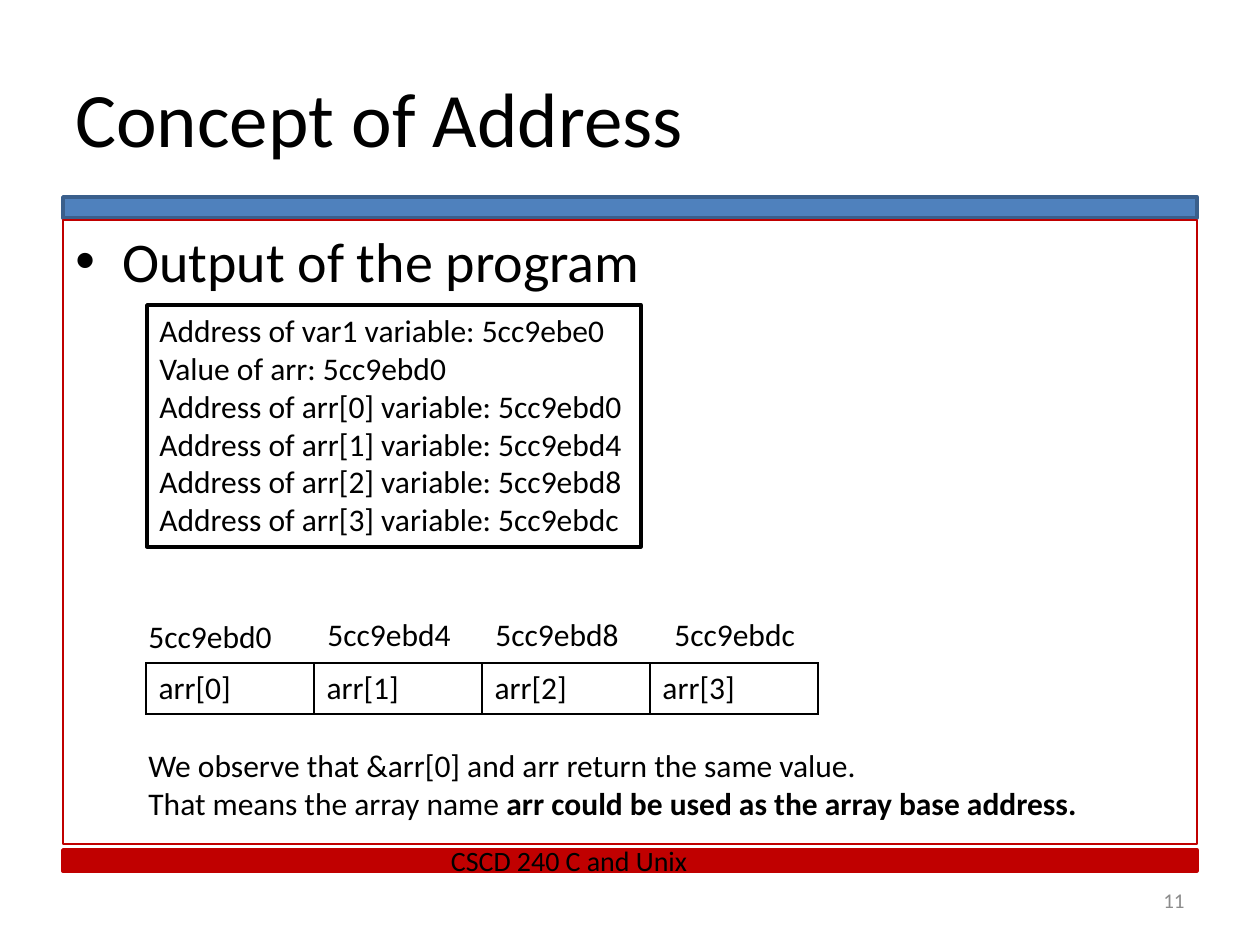
from lxml.etree import SubElement
from pptx import Presentation
from pptx.dml.color import RGBColor
from pptx.enum.shapes import MSO_SHAPE
from pptx.enum.text import MSO_ANCHOR, PP_ALIGN
from pptx.oxml.ns import qn
from pptx.util import Emu, Pt

SCALE = 914400 / 126
COLORS = {
    "black": "000000",
    "white": "FFFFFF",
    "blue": "4F81BD",
    "navy": "3A5F8C",
    "red": "C00000",
    "gray": "8C8C8C",
}
ADDRESSES = ["5cc9ebd0", "5cc9ebd4", "5cc9ebd8", "5cc9ebdc"]


def px(length):
    return Emu(round(length * SCALE))


def color(name):
    return RGBColor.from_string(COLORS[name])


def add_run(paragraph, text, size, ink="black", bold=False):
    run = paragraph.add_run()
    run.text = text
    run.font.size = Pt(size)
    run.font.name = "Calibri"
    run.font.bold = bold
    run.font.color.rgb = color(ink)


def write(frame, lines, size, ink="black", align=PP_ALIGN.LEFT,
          anchor=MSO_ANCHOR.TOP, wrap=True):
    frame.word_wrap = wrap
    frame.vertical_anchor = anchor
    for index, line in enumerate(lines):
        paragraph = frame.paragraphs[0] if index == 0 else frame.add_paragraph()
        paragraph.alignment = align
        for text, bold in line:
            add_run(paragraph, text, size, ink, bold)


def plain(*texts):
    return [[(text, False)] for text in texts]


def add_text(slide, box, lines, size, **options):
    text_box = slide.shapes.add_textbox(*map(px, box))
    write(text_box.text_frame, lines, size, **options)
    return text_box


def add_box(slide, box, fill, line, width):
    shape = slide.shapes.add_shape(MSO_SHAPE.RECTANGLE, *map(px, box))
    shape.shadow.inherit = False
    if fill:
        shape.fill.solid()
        shape.fill.fore_color.rgb = color(fill)
    else:
        shape.fill.background()
    shape.line.color.rgb = color(line)
    shape.line.width = Pt(width)
    return shape


def add_header(slide, left, top, width):
    add_text(slide, (left, top, width, 158), plain("Concept of Address"), 44,
             anchor=MSO_ANCHOR.MIDDLE)
    add_box(slide, (left, top + 159, width, 21), "blue", "navy", 2)


def add_body(slide, left, top, width, height):
    body = add_box(slide, (left, top, width, height), None, "red", 0.75)
    write(body.text_frame, plain("Output of the program"), 32)
    paragraph = body.text_frame.paragraphs[0]
    paragraph.space_before = Pt(6.4)
    properties = paragraph._p.get_or_add_pPr()
    properties.set("marL", str(px(47)))
    properties.set("indent", str(px(-47)))
    SubElement(properties, qn("a:buFont"), typeface="Arial")
    SubElement(properties, qn("a:buChar"), char="•")


def add_footer(slide, left, top, width):
    add_box(slide, (left, top, width, 21), "red", "red", 2)
    course = add_text(slide, (left + 388, top - 6, 431, 34),
                      plain("CSCD 240 C and Unix"), 16)
    frame = course.text_frame
    frame.margin_left = frame.margin_right = 0
    frame.margin_top = frame.margin_bottom = 0
    add_text(slide, (left + width - 294, top + 25, 294, 50), plain("11"), 12,
             ink="gray", align=PP_ALIGN.RIGHT, anchor=MSO_ANCHOR.MIDDLE)


def add_output(slide, left, top, width, height):
    output = add_box(slide, (left, top, width, height), "white", "black", 2)
    elements = [f"Address of arr[{index}] variable: {address}"
                for index, address in enumerate(ADDRESSES)]
    lines = plain("Address of var1 variable: 5cc9ebe0",
                  f"Value of arr: {ADDRESSES[0]}", *elements)
    write(output.text_frame, lines, 18, wrap=False)


def add_borders(cell):
    properties = cell._tc.get_or_add_tcPr()
    for index, side in enumerate(("a:lnL", "a:lnR", "a:lnT", "a:lnB")):
        line = properties.makeelement(qn(side), {"w": str(Pt(1))})
        properties.insert(index, line)
        fill = SubElement(line, qn("a:solidFill"))
        SubElement(fill, qn("a:srgbClr"), val=COLORS["black"])


def add_memory(slide, left, top, cell_width, cell_height):
    box = (left, top, cell_width * len(ADDRESSES), cell_height)
    table = slide.shapes.add_table(1, len(ADDRESSES), *map(px, box)).table
    table.first_row = table.horz_banding = False
    label_offsets = [(-10, -52), (169, -54), (337, -54), (516, -54)]
    for index, (address, offset) in enumerate(zip(ADDRESSES, label_offsets)):
        table.columns[index].width = px(cell_width)
        cell = table.cell(0, index)
        cell.fill.background()
        write(cell.text_frame, plain(f"arr[{index}]"), 18)
        add_borders(cell)
        add_text(slide, (left + offset[0], top + offset[1], 150, 50),
                 plain(address), 18, wrap=False)


def add_conclusion(slide, left, top, width, height):
    lines = plain("We observe that &arr[0] and arr return the same value.")
    lines.append([("That means the array name ", False),
                  ("arr could be used as the array base address.", True)])
    add_text(slide, (left, top, width, height), lines, 18, wrap=False)


def build_slide(presentation):
    slide = presentation.slides.add_slide(presentation.slide_layouts[6])
    add_header(slide, 63, 38, 1134)
    add_body(slide, 63, 220, 1134, 624)
    add_footer(slide, 63, 850, 1134)
    add_output(slide, 147, 305, 494, 242)
    add_memory(slide, 146, 663, 168, 51)
    add_conclusion(slide, 136, 740, 959, 89)


presentation = Presentation()
presentation.slide_width = px(1260)
presentation.slide_height = px(945)
build_slide(presentation)
presentation.save("out.pptx")
